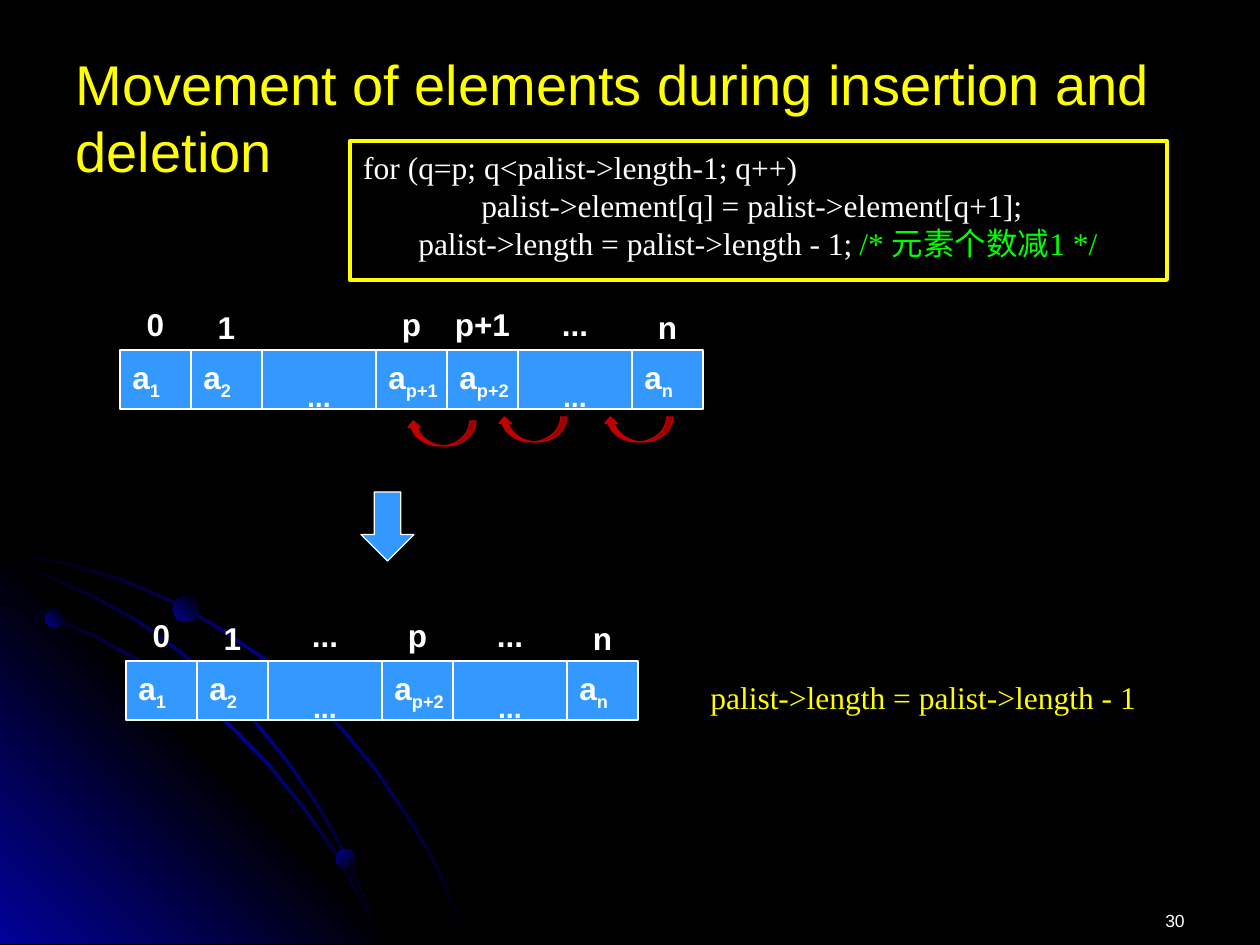
"""Build the slide on moving list elements during insertion and deletion."""
from copy import deepcopy

from pptx import Presentation, util as u
from pptx.dml.color import RGBColor
from pptx.enum import shapes, text
from pptx.oxml.ns import qn

PX = 914400 / 126
HEIGHT = 945
BLACK = RGBColor(0x00, 0x00, 0x00)
WHITE = RGBColor(0xFF, 0xFF, 0xFF)
NAVY = RGBColor(0x01, 0x01, 0x99)
BLUE = RGBColor(0x33, 0x99, 0xFF)
RED = RGBColor(0xC0, 0x00, 0x00)
YELLOW = RGBColor(0xFF, 0xFF, 0x00)
GREEN = RGBColor(0x00, 0xFF, 0x00)

LABEL = {"name": "Arial", "size": u.Pt(18), "bold": True}
CODE = {"name": "Times New Roman", "size": u.Pt(18), "bold": False}
NUMBER = {"name": "Arial", "size": u.Pt(10), "bold": False}
TITLE = {"name": "Arial", "size": u.Pt(32), "bold": False}
ALIGN = text.PP_ALIGN
SHAPE = shapes.MSO_SHAPE
NARROW, WIDE, CELL_HEIGHT = 71, 114, 59

ORBITS = [
    [(0, 552), (35, 558), (71, 566), (122, 581), (170, 602), (218, 629),
     (262, 659), (304, 692), (341, 730), (375, 771), (407, 818), (425, 848),
     (441, 879), (454, 911), (466, 944)],
    [(0, 601), (49, 617), (97, 639), (145, 665), (189, 694), (231, 728),
     (268, 766), (302, 808), (334, 853), (359, 900), (370, 922), (379, 944)],
    [(0, 559), (45, 576), (93, 598), (137, 622), (179, 653), (218, 685),
     (255, 724), (286, 762), (318, 808), (336, 840), (353, 874), (368, 910),
     (379, 944)],
]


def px(*lengths):
    """Turn pixel lengths into EMU."""
    return [round(length * PX) for length in lengths]


class SlideBuilder:
    """Hold the style and the current slide."""

    def __init__(self, presentation):
        """Add a black slide with a title placeholder."""
        self.slide = presentation.slides.add_slide(presentation.slide_layouts[5])
        background = self.slide.background.fill
        background.solid()
        background.fore_color.rgb = BLACK

    def add_run(self, paragraph, content, style, color=WHITE, subscript=False):
        """Add one formatted run."""
        run = paragraph.add_run()
        run.text = content
        for name, value in style.items():
            setattr(run.font, name, value)
        run.font.color.rgb = color
        if subscript:
            run.font._element.set("baseline", "-25000")

    def title(self, content, *box):
        """Place and fill the title placeholder."""
        shape = self.slide.shapes.title
        shape.left, shape.top, shape.width, shape.height = px(*box)
        frame = shape.text_frame
        frame.vertical_anchor = text.MSO_ANCHOR.MIDDLE
        paragraph = frame.paragraphs[0]
        paragraph.alignment = ALIGN.LEFT
        self.add_run(paragraph, content, TITLE, YELLOW)

    def textbox(self, lines, box, style, align, inset=6):
        """Add a text box from lines of (text, color) runs."""
        frame = self.slide.shapes.add_textbox(*px(*box)).text_frame
        frame.word_wrap = True
        frame.margin_top = px(inset)[0]
        for index, runs in enumerate(lines):
            paragraph = frame.add_paragraph() if index else frame.paragraphs[0]
            paragraph.alignment = align
            for content, color in runs:
                self.add_run(paragraph, content, style, color)

    def shape(self, kind, box, fill=None, line=None, weight=0.75):
        """Add a preset shape with a plain fill and line."""
        shape = self.slide.shapes.add_shape(kind, *px(*box))
        self.paint(shape, fill, line, weight)
        return shape

    def paint(self, shape, fill, line, weight=0.75):
        """Set fill and line, without a shadow."""
        shape.shadow.inherit = False
        for target, color in ((shape.fill, fill), (shape.line.fill, line)):
            if color is None:
                target.background()
            else:
                target.solid()
                target.fore_color.rgb = color
        if line is not None:
            shape.line.width = u.Pt(weight)

    def gradient(self, shape, colors, angle):
        """Fill a shape with evenly spaced gradient stops."""
        self.paint(shape, None, None)
        shape.fill.gradient()
        shape.fill.gradient_angle = angle
        stop_list = shape._element.spPr.find(qn("a:gradFill")).find(qn("a:gsLst"))
        while len(stop_list) < len(colors):
            stop_list.append(deepcopy(stop_list[0]))
        for index, (stop, color) in enumerate(zip(shape.fill.gradient_stops, colors)):
            stop.color.rgb = color
            stop.position = index / (len(colors) - 1)

    def outline(self, points, colors, angle):
        """Add a closed gradient outline."""
        builder = self.slide.shapes.build_freeform(*points[0], scale=PX)
        builder.add_line_segments(points[1:], close=True)
        self.gradient(builder.convert_to_shape(), colors, angle)

    def orbit(self, edge):
        """Add a thin band that follows one edge."""
        upper = [(x + 2 if x else 0, y - 2 if y < HEIGHT - 1 else y) for x, y in edge]
        self.outline(edge + upper[::-1], [BLACK, NAVY, BLACK], 315)

    def planet(self, left, top, size, angle):
        """Add a gradient ball."""
        ball = self.shape(SHAPE.OVAL, (left, top, size, size))
        self.gradient(ball, [NAVY, BLACK], angle)

    def cell(self, subscript, box):
        """Add an array cell, an ellipsis when it has no subscript."""
        shape = self.shape(SHAPE.RECTANGLE, box, BLUE, WHITE)
        frame = shape.text_frame
        frame.word_wrap = False
        frame.vertical_anchor = text.MSO_ANCHOR.MIDDLE
        paragraph = frame.paragraphs[0]
        if subscript:
            paragraph.alignment = ALIGN.LEFT
            self.add_run(paragraph, "a", LABEL)
            self.add_run(paragraph, subscript, LABEL, subscript=True)
        else:
            paragraph.alignment = ALIGN.CENTER
            self.add_run(paragraph, "...", {**LABEL, "size": u.Pt(28)}, subscript=True)

    def array(self, left, top, items):
        """Add a row of cells with index labels above."""
        for label, subscript in items:
            width = NARROW if subscript else WIDE
            self.cell(subscript, (left, top, width, CELL_HEIGHT))
            if label:
                label_top = top - (51 if label in ("1", "n") else 54)
                spare = 6 if label == "p+1" else 0
                box = (left - spare, label_top, width + 2 * spare, 50)
                self.textbox([[(label, WHITE)]], box, LABEL, ALIGN.CENTER, inset=9)
            left += width

    def move_arrow(self, left, top):
        """Add a curved arrow that points left."""
        shape = self.shape(SHAPE.CURVED_UP_ARROW, (left, top, 69, 25), RED, RED)
        shape._element.spPr.find(qn("a:xfrm")).set("flipH", "1")


def main():
    """Build and save the presentation."""
    presentation = Presentation()
    presentation.slide_width, presentation.slide_height = px(1260, HEIGHT)
    slide = SlideBuilder(presentation)

    slide.orbit(ORBITS[0])
    slide.outline([(0, 538), (0, 944), (406, 944)], [NAVY, BLACK, NAVY], 45)
    for edge in ORBITS[1:]:
        slide.orbit(edge)
    for planet in ((45, 609, 19, 45), (336, 849, 20, 315), (173, 596, 26, 45)):
        slide.planet(*planet)

    slide.title("Movement of elements during insertion and deletion", 63, 38, 1134, 157)
    slide.textbox([[("30", WHITE)]], (903, 883, 294, 63), NUMBER, ALIGN.RIGHT, inset=27)
    slide.array(120, 350, [("0", "1"), ("1", "2"), ("", ""), ("p", "p+1"),
                           ("p+1", "p+2"), ("...", ""), ("n", "n")])
    slide.array(126, 661, [("0", "1"), ("1", "2"), ("...", ""), ("p", "p+2"),
                           ("...", ""), ("n", "n")])
    for left, top in ((604, 417), (498, 417), (407, 421)):
        slide.move_arrow(left, top)
    slide.shape(SHAPE.DOWN_ARROW, (361, 492, 53, 69), BLUE, WHITE)

    code = [
        [(" for (q=p; q<palist->length-1; q++)", WHITE)],
        [("                palist->element[q] = palist->element[q+1];", WHITE)],
        [("        palist->length = palist->length - 1;\t", WHITE),
         ("/* 元素个数减1 */", GREEN)],
    ]
    slide.textbox(code, (343, 139, 824, 127), CODE, ALIGN.JUSTIFY, inset=9)
    slide.shape(SHAPE.RECTANGLE, (350, 141, 817, 139), line=YELLOW, weight=2.25)
    result = [[("palist->length = palist->length - 1", YELLOW)]]
    slide.textbox(result, (698, 669, 466, 50), CODE, ALIGN.LEFT, inset=9)
    presentation.save("out.pptx")


if __name__ == "__main__":
    main()
